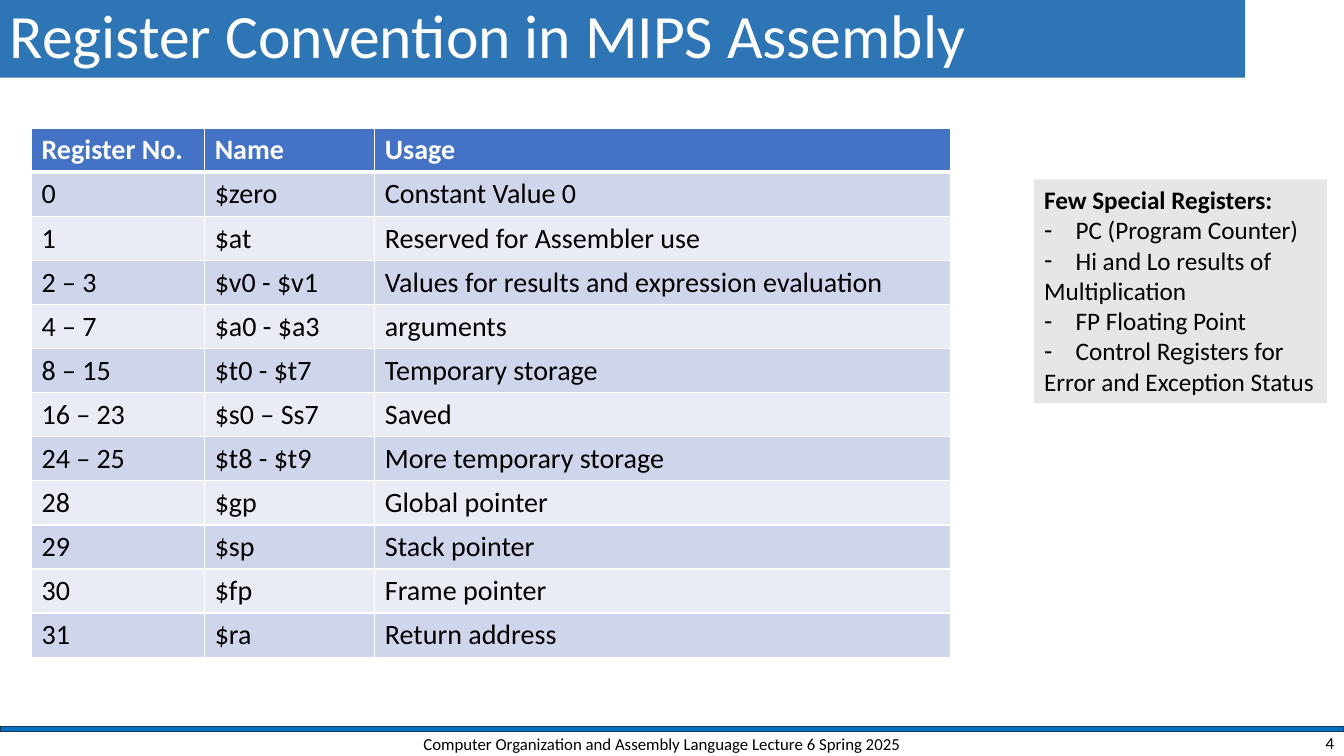
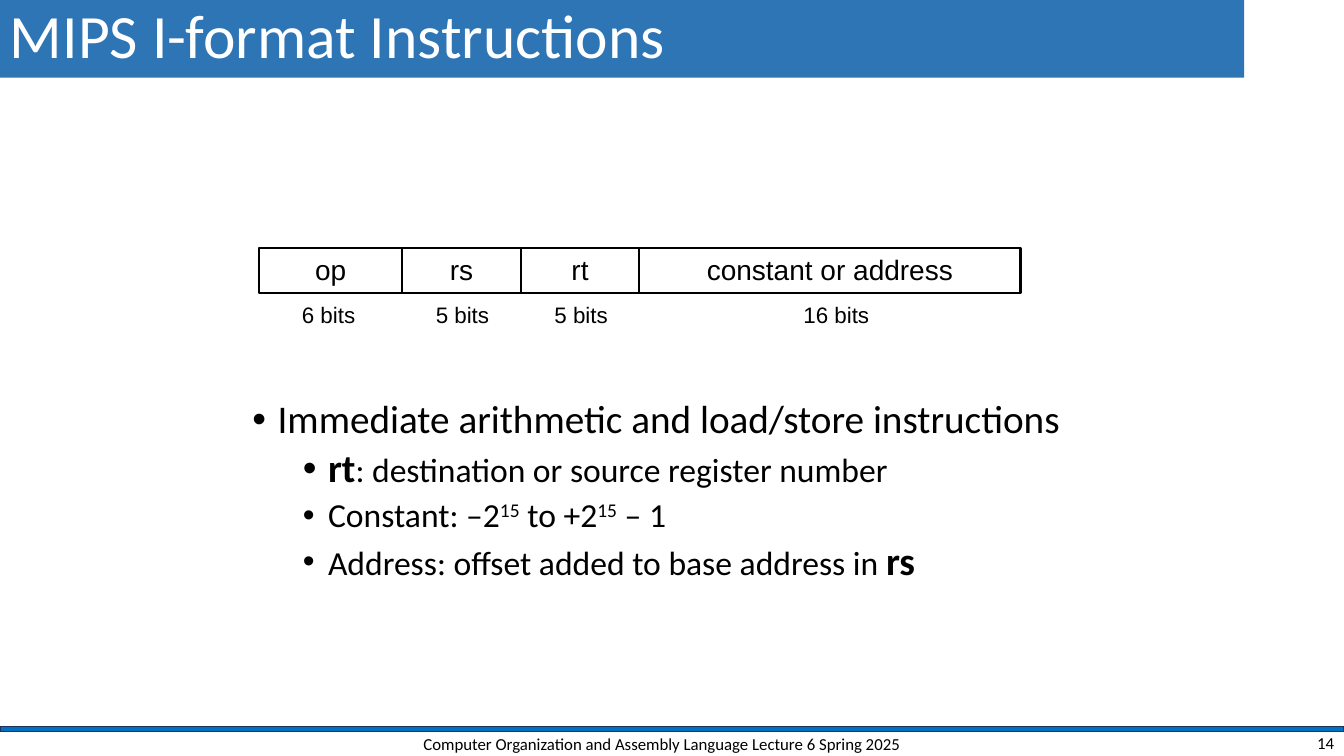
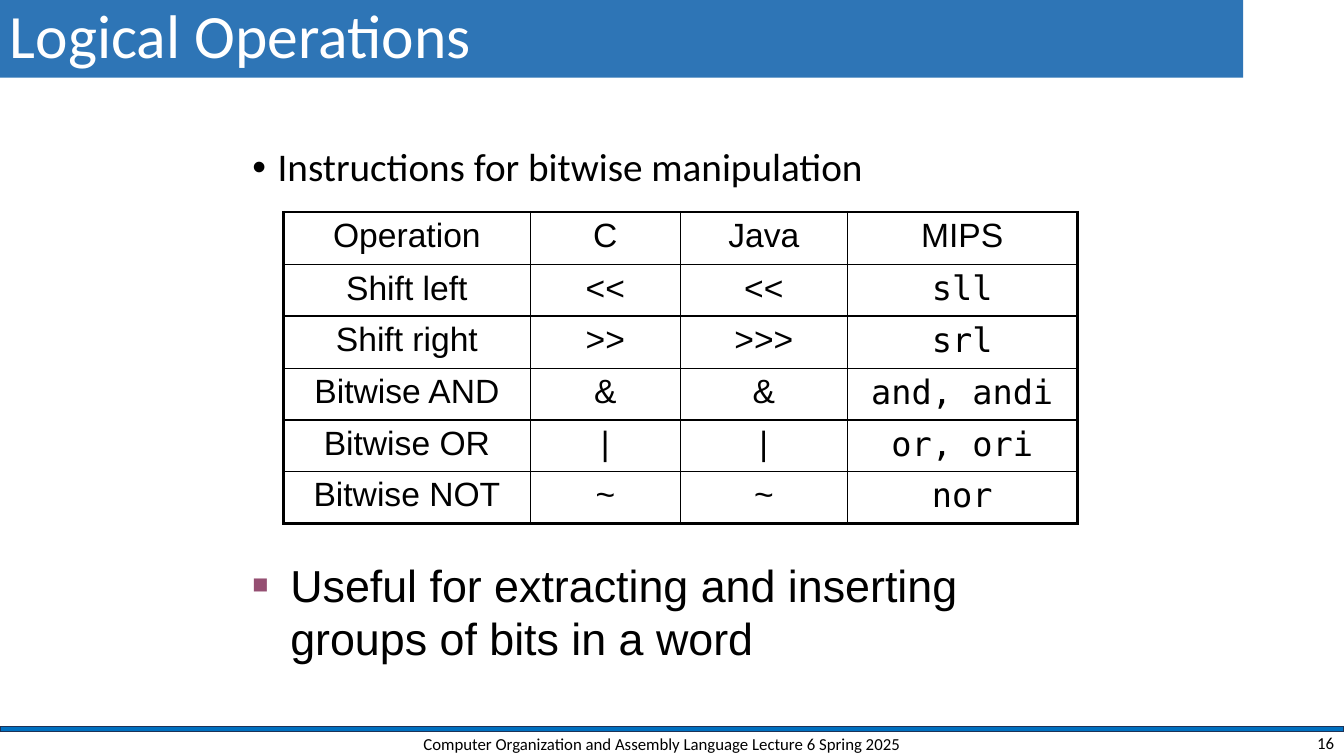
import lxml.etree
import pptx
import pptx.dml.color
import pptx.enum.shapes
import pptx.enum.text
import pptx.oxml.ns
import pptx.util

PX = 9525
COLORS = {
    "white": "FFFFFF", "black": "000000", "title": "2E75B6", "rule": "0070C0",
    "rule_edge": "1E3256", "header": "4472C4", "band_dark": "CFD5EA",
    "band_light": "E9EBF5", "note": "E7E6E6", "bullet": "954F72",
}
ALIGN = {
    "l": pptx.enum.text.PP_ALIGN.LEFT,
    "c": pptx.enum.text.PP_ALIGN.CENTER,
    "r": pptx.enum.text.PP_ALIGN.RIGHT,
}
TOP = pptx.enum.text.MSO_ANCHOR.TOP
MIDDLE = pptx.enum.text.MSO_ANCHOR.MIDDLE
FOOTER = "Computer Organization and Assembly Language Lecture 6 Spring 2025"
MONO = "DejaVu Sans Mono"

REGISTERS = [
    ("Register No.", "Name", "Usage"),
    ("0", "$zero", "Constant Value 0"),
    ("1", "$at", "Reserved for Assembler use"),
    ("2 – 3", "$v0 - $v1", "Values for results and expression evaluation"),
    ("4 – 7", "$a0 - $a3", "arguments"),
    ("8 – 15", "$t0 - $t7", "Temporary storage"),
    ("16 – 23", "$s0 – Ss7", "Saved"),
    ("24 – 25", "$t8 - $t9", "More temporary storage"),
    ("28", "$gp", "Global pointer"),
    ("29", "$sp", "Stack pointer"),
    ("30", "$fp", "Frame pointer"),
    ("31", "$ra", "Return address"),
]
SPECIAL = [
    ("Few Special Registers:", False),
    ("PC (Program Counter)", True),
    ("Hi and Lo results of", True),
    ("Multiplication", False),
    ("FP Floating Point", True),
    ("Control Registers for", True),
    ("Error and Exception Status", False),
]
FIELDS = [
    ("op", 136, "6 bits", -2),
    ("rs", 113, "5 bits", 1),
    ("rt", 113, "5 bits", 1),
    ("constant or address", 363, "16 bits", 6),
]
I_FORMAT = [
    (0, [("Immediate arithmetic and load/store instructions", {})]),
    (1, [("rt", {"size": 28, "bold": True}),
         (": destination or source register number", {})]),
    (1, [("Constant: –2", {}), ("15", {"raised": True}), (" to +2", {}),
         ("15", {"raised": True}), (" – 1", {})]),
    (1, [("Address: offset added to base address in ", {}),
         ("rs", {"size": 28, "bold": True})]),
]
OPERATIONS = [
    ("Operation", "C", "Java", "MIPS"),
    ("Shift left", "<<", "<<", "sll"),
    ("Shift right", ">>", ">>>", "srl"),
    ("Bitwise AND", "&", "&", "and, andi"),
    ("Bitwise OR", "|", "|", "or, ori"),
    ("Bitwise NOT", "~", "~", "nor"),
]


def rgb(name):
    """Return the named colour."""
    return pptx.dml.color.RGBColor.from_string(COLORS[name])


def emu(*lengths):
    """Turn px lengths into EMU."""
    return [pptx.util.Emu(n * PX) for n in lengths]


def sub(parent, tag, **attrs):
    """Append a DrawingML element."""
    el = lxml.etree.SubElement(parent, pptx.oxml.ns.qn("a:" + tag))
    for key, value in attrs.items():
        el.set(key, str(value))
    return el


def style(r, size, font="Calibri", color="black", bold=False, raised=False):
    """Format one run."""
    r.font.size = pptx.util.Pt(size)
    r.font.name = font
    r.font.bold = bold
    r.font.color.rgb = rgb(color)
    if raised:
        r._r.get_or_add_rPr().set("baseline", "30000")


def write(p, text, size, align="l", **fmt):
    """Set and format a paragraph of one run."""
    p.text = text
    p.alignment = ALIGN[align]
    for r in p.runs:
        style(r, size, **fmt)


def bullet(p, char, left, hang, color=None, percent=None):
    """Give a paragraph a hanging bullet."""
    pPr = p._p.get_or_add_pPr()
    pPr.set("marL", str(left * PX))
    pPr.set("indent", str(-hang * PX))
    if color:
        sub(sub(pPr, "buClr"), "srgbClr", val=COLORS[color])
    if percent:
        sub(pPr, "buSzPct", val=percent * 1000)
    sub(pPr, "buFont", typeface="Arial")
    sub(pPr, "buChar", char=char)


def add_text(s, box, anchor=TOP, wrap=True):
    """Add an empty text box and return its frame."""
    tf = s.shapes.add_textbox(*emu(*box)).text_frame
    tf.word_wrap = wrap
    tf.vertical_anchor = anchor
    return tf


def add_rect(s, box, fill=None, line=None, width=1, anchor=TOP):
    """Add a flat rectangle."""
    sp = s.shapes.add_shape(pptx.enum.shapes.MSO_SHAPE.RECTANGLE, *emu(*box))
    sp.shadow.inherit = False
    sp.text_frame.vertical_anchor = anchor
    if fill:
        sp.fill.solid()
        sp.fill.fore_color.rgb = rgb(fill)
    else:
        sp.fill.background()
    if line:
        sp.line.color.rgb = rgb(line)
        sp.line.width = pptx.util.Pt(width)
    else:
        sp.line.fill.background()
    return sp


def set_borders(cell, color, widths):
    """Draw the left, right, top and bottom borders of a cell."""
    tcPr = cell._tc.get_or_add_tcPr()
    for i, (side, width) in enumerate(zip("LRTB", widths)):
        ln = sub(tcPr, "ln" + side, w=int(width * 12700))
        sub(sub(ln, "solidFill"), "srgbClr", val=COLORS[color])
        tcPr.insert(i, ln)


def add_grid(s, x, y, cols, rows, texts, format_cell):
    """Add a table whose cells are formatted by a rule."""
    box = emu(x, y, sum(cols), sum(rows))
    table = s.shapes.add_table(len(rows), len(cols), *box).table
    table.first_row = table.horz_banding = False
    for col, width in zip(table.columns, emu(*cols)):
        col.width = width
    for row, height in zip(table.rows, emu(*rows)):
        row.height = height
    for i, line in enumerate(texts):
        for j, text in enumerate(line):
            format_cell(table.cell(i, j), i, j, text)


def register_cell(cell, i, j, text):
    """Format a cell of the register table."""
    cell.fill.solid()
    fill = "header" if i == 0 else "band_dark" if i % 2 else "band_light"
    cell.fill.fore_color.rgb = rgb(fill)
    set_borders(cell, "white", (1, 1, 3 if i == 1 else 1, 3 if i == 0 else 1))
    write(cell.text_frame.paragraphs[0], text, 20,
          color="black" if i else "white", bold=i == 0)


def operation_cell(cell, i, j, text):
    """Format a cell of the operation table."""
    last_row, last_col = len(OPERATIONS) - 1, len(OPERATIONS[0]) - 1
    cell.fill.background()
    set_borders(cell, "black", (
        2.25 if j == 0 else 1,
        2.25 if j == last_col else 1,
        {0: 2.25, 1: 1.5}.get(i, 1),
        {0: 1.5, last_row: 2.25}.get(i, 1),
    ))
    write(cell.text_frame.paragraphs[0], text, 24, "c",
          font=MONO if i and j == last_col else "Arial")


def add_frame(prs, title, width, number):
    """Add a slide with its title band, rule and footer."""
    s = prs.slides.add_slide(prs.slide_layouts[6])
    add_rect(s, (0, 692, 1280, 5), "rule", "rule_edge")
    p = add_rect(s, (0, 0, width, 74), "title",
                 anchor=MIDDLE).text_frame.paragraphs[0]
    write(p, title, 44, color="white")
    p.line_spacing = 0.9
    for box, text, align in [((376, 695, 509, 27), FOOTER, "c"),
                             ((992, 695, 288, 24), str(number), "r")]:
        write(add_text(s, box, MIDDLE).paragraphs[0], text, 12, align)
    return s


def add_outline(s, box, items):
    """Add a bulleted body of two levels."""
    tf = add_text(s, box)
    for i, (level, runs) in enumerate(items):
        p = tf.add_paragraph() if i else tf.paragraphs[0]
        p.level = level
        p.line_spacing = 0.9
        p.space_before = pptx.util.Pt(5 if level else 10)
        bullet(p, "•", 24 + 48 * level, 24)
        for text, fmt in runs:
            r = p.add_run()
            r.text = text
            style(r, **{"size": 24 if level else 28, **fmt})


def add_note(s, box):
    """Add the panel of special registers."""
    tf = add_rect(s, box, "note").text_frame
    tf.word_wrap = False
    for i, (text, dashed) in enumerate(SPECIAL):
        p = tf.add_paragraph() if i else tf.paragraphs[0]
        write(p, text, 18, bold=i == 0)
        if dashed:
            bullet(p, "-", 30, 30)


def add_fields(s, x, y):
    """Add the instruction fields with their bit counts below."""
    for name, width, bits, shift in FIELDS:
        sp = add_rect(s, (x, y, width, 43), line="black", width=1.5)
        write(sp.text_frame.paragraphs[0], name, 20, "c", font="Arial")
        tf = add_text(s, (x + shift, y + 46, width, 35))
        write(tf.paragraphs[0], bits, 16, "c", font="Arial")
        x += width


def add_remark(s, box, text):
    """Add a large remark with a square bullet."""
    p = add_text(s, box).paragraphs[0]
    write(p, text, 32, font="Arial")
    p.space_before = pptx.util.Pt(6.4)
    bullet(p, "■", 36, 36, "bullet", 60)


def main():
    """Build the deck."""
    prs = pptx.Presentation()
    prs.slide_width, prs.slide_height = emu(1280, 720)

    s = add_frame(prs, "Register Convention in MIPS Assembly", 1186, 4)
    add_grid(s, 30, 122, (165, 162, 548), [42] * len(REGISTERS),
             REGISTERS, register_cell)
    add_note(s, (985, 171, 279, 213))

    s = add_frame(prs, "MIPS I-format Instructions", 1185, 14)
    add_outline(s, (231, 376, 869, 278), I_FORMAT)
    add_fields(s, 247, 236)

    s = add_frame(prs, "Logical Operations", 1184, 16)
    add_outline(s, (231, 136, 869, 73),
                [(0, [("Instructions for bitwise manipulation", {})])])
    add_grid(s, 270, 202, (235, 143, 159, 219), (50, 49, 50, 49, 49, 50),
             OPERATIONS, operation_cell)
    add_remark(s, (231, 526, 816, 113),
               "Useful for extracting and inserting groups of bits in a word")

    prs.save("out.pptx")


if __name__ == "__main__":
    main()
